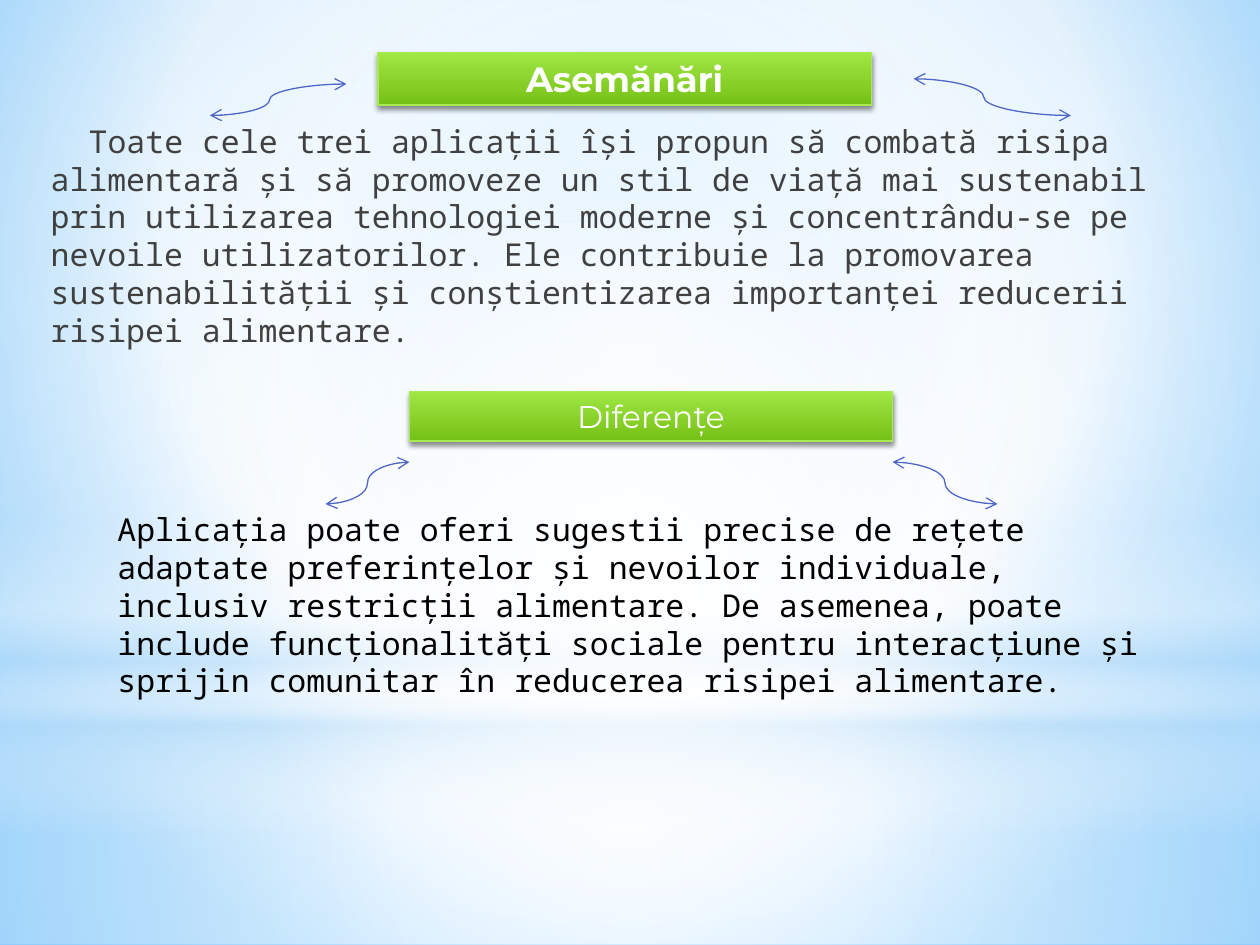
import pptx
import pptx.dml.color
import pptx.enum.shapes
import pptx.enum.text
import pptx.oxml
import pptx.oxml.ns
import pptx.util
from lxml import etree

PX = 9525
W, H = 960, 720
SHAPE = pptx.enum.shapes.MSO_SHAPE
ALIGN = pptx.enum.text.PP_ALIGN
ANCHOR = pptx.enum.text.MSO_ANCHOR
AUTO = pptx.enum.text.MSO_AUTO_SIZE
qn = pptx.oxml.ns.qn
GREEN = [(0, "A0E844", 100), (100, "75C016", 100)]
LINEAR = '<a:lin ang="5400000" scaled="0"/>'
SIMILAR = (
    "Toate cele trei aplicații își propun să combată risipa alimentară și să "
    "promoveze un stil de viață mai sustenabil prin utilizarea tehnologiei moderne "
    "și concentrându-se pe nevoile utilizatorilor. Ele contribuie la promovarea "
    "sustenabilității și conștientizarea importanței reducerii risipei alimentare."
)
DIFFERENT = (
    "Aplicația poate oferi sugestii precise de rețete adaptate preferințelor și "
    "nevoilor individuale, inclusiv restricții alimentare. De asemenea, poate include "
    "funcționalități sociale pentru interacțiune și sprijin comunitar în reducerea "
    "risipei alimentare."
)


def px(n):
    """Turn px into EMU."""
    return pptx.util.Emu(n * PX)


def rgb(hex_string):
    """Turn a hex string into a colour."""
    return pptx.dml.color.RGBColor.from_string(hex_string)


def circle(l, t, r, b):
    """Return the XML of a circular gradient path closing on a rectangle."""
    return (f'<a:path path="circle"><a:fillToRect l="{l * 1000}" t="{t * 1000}" '
            f'r="{r * 1000}" b="{b * 1000}"/></a:path>')


def gradient(fill, parent, stops, direction):
    """Fill with gradient stops given as position, colour and opacity."""
    fill.solid()
    gs = "".join(
        f'<a:gs pos="{pos * 1000}"><a:srgbClr val="{color}">'
        f'<a:alpha val="{alpha * 1000}"/></a:srgbClr></a:gs>'
        for pos, color, alpha in stops)
    grad = pptx.oxml.parse_xml(
        f'<a:gradFill {pptx.oxml.ns.nsdecls("a")} rotWithShape="1">'
        f'<a:gsLst>{gs}</a:gsLst>{direction}</a:gradFill>')
    parent.replace(parent.find(qn("a:solidFill")), grad)


def place(sp, x, y, w, h):
    """Move and size a shape."""
    sp.left, sp.top, sp.width, sp.height = px(x), px(y), px(w), px(h)


def backdrop(s):
    """Draw the sky gradient and the soft light bands behind everything."""
    fill = s.background.fill
    fill.solid()
    gradient(fill, s.element.find(".//" + qn("p:bgPr")),
             [(0, "9ED5FF", 100), (60, "FFFFFF", 100), (100, "5BB9FF", 100)],
             circle(20, 10, 20, 60))
    center = circle(50, 50, 50, 50)
    bands = [
        (SHAPE.RECTANGLE, 536, H - 536, center,
         [(0, "FFFFFF", 91), (37, "FFFFFF", 76), (100, "B4DCFA", 79)]),
        (SHAPE.RECTANGLE, 0, 536, center,
         [(0, "FFFFFF", 89), (48, "FFFFFF", 62), (100, "B4DCFA", 79)]),
        (SHAPE.RECTANGLE, 396, 240, LINEAR,
         [(0, "FFFFFF", 0), (29, "FFFFFF", 30), (45, "B4DCFA", 40),
          (55, "FFFFFF", 26), (65, "B4DCFA", 60), (100, "FFFFFF", 0)]),
        (SHAPE.OVAL, 168, 536, center, [(0, "FFFFFF", 100), (56, "FFFFFF", 0)]),
    ]
    for kind, y, h, direction, stops in bands:
        sp = s.shapes.add_shape(kind, 0, px(y), px(W), px(h))
        gradient(sp.fill, sp.element.spPr, stops, direction)
        sp.line.fill.background()
        sp.shadow.inherit = False
        s.shapes.title.element.addprevious(sp.element)


def write(sp, text, size, font, color, bold=False):
    """Write one paragraph into a shape and return it."""
    tf = sp.text_frame
    tf.text = text
    tf.word_wrap = True
    p = tf.paragraphs[0]
    r = p.runs[0]
    r.font.size = pptx.util.Pt(size)
    r.font.name = font
    r.font.bold = bold
    r.font.color.rgb = rgb(color)
    return p


def heading(sp, text, size, bold):
    """Style a shape as a green heading bar with a shadow."""
    gradient(sp.fill, sp.element.spPr, GREEN, LINEAR)
    sp.line.color.rgb = rgb("A7EA52")
    sp.line.width = pptx.util.Pt(0.75)
    sp.shadow.inherit = False
    effects = sp.element.spPr.find(qn("a:effectLst"))
    shadow = etree.SubElement(effects, qn("a:outerShdw"), blurRad="39370",
                              dist="22860", dir="5400000", rotWithShape="0")
    color = etree.SubElement(shadow, qn("a:srgbClr"), val="000000")
    etree.SubElement(color, qn("a:alpha"), val="45000")
    p = write(sp, text, size, "Montserrat", "FFFFFF", bold)
    p.alignment = ALIGN.CENTER
    sp.text_frame.vertical_anchor = ANCHOR.MIDDLE
    sp.text_frame.auto_size = AUTO.NONE


def curve(s, x1, y1, x2, y2, bend=50):
    """Draw a curved double arrow that bends at a percentage of its width."""
    c = s.shapes.add_connector(pptx.enum.shapes.MSO_CONNECTOR.CURVE,
                               px(x1), px(y1), px(x2), px(y2))
    c.line.color.rgb = rgb("4E67C8")
    c.line.width = pptx.util.Pt(0.75)
    spPr = c.element.spPr
    guides = spPr.find(".//" + qn("a:avLst"))
    etree.SubElement(guides, qn("a:gd"), name="adj1", fmla=f"val {bend * 1000:.0f}")
    for end in ("a:headEnd", "a:tailEnd"):
        etree.SubElement(spPr.find(qn("a:ln")), qn(end), type="arrow")
    etree.SubElement(spPr, qn("a:effectLst"))


def similarities(s, x, y):
    """Place the title, the body text and their two arrows."""
    title, body = s.shapes.title, s.placeholders[1]
    place(title, x + 264, y, 376, 40)
    heading(title, "Asemănări", 20, True)
    place(body, x, y + 48, 904, 612)
    p = write(body, SIMILAR, 18, "Noto Sans Mono", "404040")
    p.space_after = pptx.util.Pt(3)
    body.text_frame.vertical_anchor = ANCHOR.TOP
    body.text_frame.auto_size = AUTO.NONE
    pPr = p.runs[0].font and p._p.get_or_add_pPr()
    pPr.set("marL", str(px(5)))
    pPr.set("indent", str(px(29)))
    etree.SubElement(pPr, qn("a:buNone"))
    curve(s, x + 240, y + 24, x + 136, y + 48, 56.3)
    curve(s, x + 672, y + 20, x + 792, y + 48, 44.6)


def differences(s, x, y):
    """Place the second heading, its text and their two arrows."""
    bar = s.shapes.add_shape(SHAPE.RECTANGLE, px(x + 232), px(y), px(368), px(38))
    heading(bar, "Diferențe", 18, False)
    box = s.shapes.add_textbox(px(x), px(y + 86), px(824), px(156))
    write(box, DIFFERENT, 18, "Noto Sans Mono", "000000")
    box.text_frame.auto_size = AUTO.SHAPE_TO_FIT_TEXT
    curve(s, x + 232, y + 54, x + 168, y + 86)
    curve(s, x + 600, y + 54, x + 680, y + 86)


def main():
    """Build the slide and save it."""
    prs = pptx.Presentation()
    prs.slide_width, prs.slide_height = px(W), px(H)
    s = prs.slides.add_slide(prs.slide_layouts[1])
    backdrop(s)
    similarities(s, 24, 40)
    differences(s, 80, 298)
    prs.save("out.pptx")


if __name__ == "__main__":
    main()
